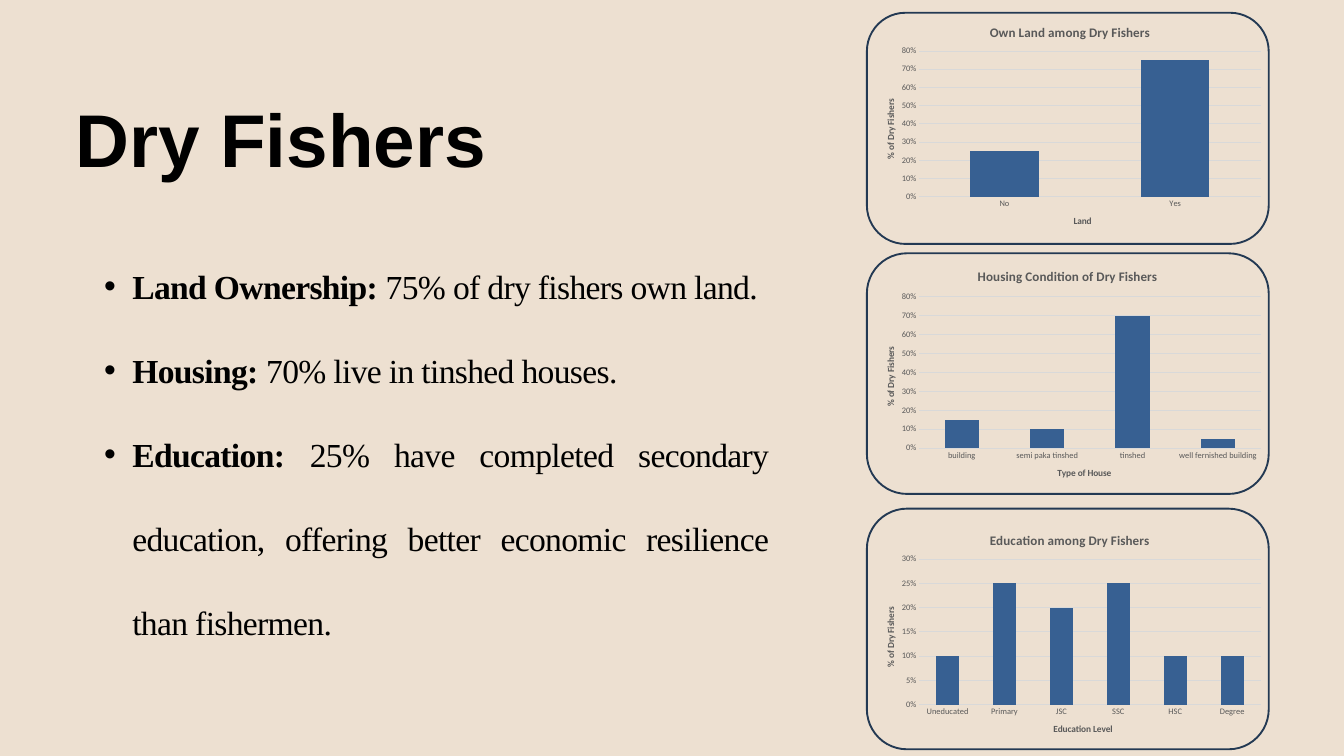
from dataclasses import dataclass

import pptx
import pptx.chart.data
import pptx.dml.color
import pptx.enum.chart
import pptx.enum.shapes
import pptx.enum.text
import pptx.oxml
import pptx.oxml.ns
import pptx.util

Pt = pptx.util.Pt
RGBColor = pptx.dml.color.RGBColor
qn = pptx.oxml.ns.qn

BEIGE = RGBColor(0xED, 0xE0, 0xD1)
BLACK = RGBColor(0, 0, 0)
NAVY = RGBColor(0x23, 0x39, 0x53)
BLUE = RGBColor(0x37, 0x60, 0x92)
GREY = RGBColor(0x59, 0x59, 0x59)
PALE = RGBColor(0xD9, 0xD9, 0xD9)

HEADING = {"name": "Arial", "size": Pt(80), "bold": True}
BODY = {"name": "Times New Roman", "size": Pt(36)}
CHART_TITLE = {"name": "Calibri", "size": Pt(14), "bold": True}
AXIS_TITLE = {"name": "Calibri", "size": Pt(10), "bold": True}
TICKS = {"name": "Calibri", "size": Pt(9), "bold": False}

PANEL_LEFT, PANEL_WIDTH = 928.8, 430.56


@dataclass
class Panel:
    """A bar chart in a rounded frame; x positions are fractions of its width."""
    title: str
    title_x: float
    axis_title: str
    axis_title_x: float
    values: dict[str, float]
    top_value: float
    step: float
    chart_top: float
    chart_height: float
    frame_top: float
    frame_height: float


@dataclass
class Bullet:
    label: str
    text: str


PANELS = [
    Panel("Own Land among Dry Fishers", 0.3, "Land", 0.51,
          {"No": 0.25, "Yes": 0.75}, 0.8, 0.1, 10.1, 247.7, 13.7, 247.7),
    Panel("Housing Condition of Dry Fishers", 0.27, "Type of House", 0.47,
          {"building": 0.15, "semi paka tinshed": 0.1, "tinshed": 0.7,
           "well fernished building": 0.05},
          0.8, 0.1, 271.4, 257.8, 271.4, 257.8),
    Panel("Education among Dry Fishers", 0.3, "Education Level", 0.46,
          {"Uneducated": 0.1, "Primary": 0.25, "JSC": 0.2, "SSC": 0.25,
           "HSC": 0.1, "Degree": 0.1},
          0.3, 0.05, 554.4, 247.7, 545, 257.8),
]

BULLETS = [
    Bullet("Land Ownership: ", "75% of dry fishers own land."),
    Bullet("Housing: ", "70% live in tinshed houses."),
    Bullet("Education:", " 25% have completed secondary education, offering "
                         "better economic resilience than fishermen."),
]


def set_font(font, style: dict, color: RGBColor) -> None:
    for name, value in style.items():
        setattr(font, name, value)
    font.color.rgb = color


def add_text_frame(s, left: float, top: float, width: float, height: float):
    """Add a wrapping text box without margins."""
    tf = s.shapes.add_textbox(Pt(left), Pt(top), Pt(width), Pt(height)).text_frame
    tf.word_wrap = True
    for side in ("left", "top", "right", "bottom"):
        setattr(tf, f"margin_{side}", 0)
    return tf


def add_heading(s, text: str) -> None:
    p = add_text_frame(s, 80.6, 87.1, 639.4, 100).paragraphs[0]
    p.line_spacing = Pt(108.2)
    r = p.add_run()
    r.text = text
    set_font(r.font, HEADING, BLACK)


def add_bullets(s, bullets: list[Bullet]) -> None:
    tf = add_text_frame(s, 80.6, 238.3, 743, 440)
    for i, bullet in enumerate(bullets):
        p = tf.add_paragraph() if i else tf.paragraphs[0]
        p.alignment = pptx.enum.text.PP_ALIGN.JUSTIFY
        p.level = 1
        p.line_spacing = Pt(90)
        pPr = p._p.get_or_add_pPr()
        pPr.set("marL", str(Pt(61.2)))
        pPr.set("indent", str(Pt(-30.2)))
        for tag, name, value in (("buFont", "typeface", "Arial"), ("buChar", "char", "•")):
            pPr.append(pptx.oxml.parse_xml(
                f'<a:{tag} {pptx.oxml.ns.nsdecls("a")} {name}="{value}"/>'))
        for text, bold in ((bullet.label, True), (bullet.text, False)):
            r = p.add_run()
            r.text = text
            set_font(r.font, BODY | {"bold": bold}, BLACK)
            r._r.get_or_add_rPr().set("spc", "-70")


def layout_xml(target: str = "", **position: float):
    """Return a manual layout, measured in fractions of the chart."""
    inner = f'<c:layoutTarget val="{target}"/>' if target else ""
    inner += '<c:xMode val="edge"/><c:yMode val="edge"/>'
    inner += "".join(f'<c:{name} val="{value}"/>' for name, value in position.items())
    return pptx.oxml.parse_xml(
        f'<c:layout {pptx.oxml.ns.nsdecls("c")}>'
        f"<c:manualLayout>{inner}</c:manualLayout></c:layout>")


def replace_layout(parent, layout, index: int) -> None:
    for old in parent.findall(qn("c:layout")):
        parent.remove(old)
    parent.insert(index, layout)


def set_title(title, text: str, style: dict, x: float, y: float) -> None:
    p = title.text_frame.paragraphs[0]
    r = p.add_run()
    r.text = text
    set_font(r.font, style, GREY)
    replace_layout(title._element, layout_xml(x=x, y=y), 1)


def add_panel(s, panel: Panel) -> None:
    data = pptx.chart.data.CategoryChartData(number_format="0%")
    data.categories = list(panel.values)
    data.add_series("Series 1", list(panel.values.values()))
    chart = s.shapes.add_chart(
        pptx.enum.chart.XL_CHART_TYPE.COLUMN_STACKED,
        Pt(PANEL_LEFT), Pt(panel.chart_top), Pt(PANEL_WIDTH), Pt(panel.chart_height),
        data).chart
    set_font(chart.font, TICKS, GREY)
    chart.has_legend = False
    chart.has_title = True
    set_title(chart.chart_title, panel.title, CHART_TITLE, panel.title_x, 0.05)

    plot = chart.plots[0]
    plot.gap_width, plot.overlap, plot.vary_by_categories = 150, 100, False
    fill = plot.series[0].format.fill
    fill.solid()
    fill.fore_color.rgb = BLUE
    replace_layout(chart._chartSpace.chart.plotArea,
                   layout_xml("inner", x=0.13, y=0.18, w=0.85, h=0.63), 0)

    cat, val = chart.category_axis, chart.value_axis
    for axis in (cat, val):
        axis.major_tick_mark = pptx.enum.chart.XL_TICK_MARK.NONE
        set_font(axis.tick_labels.font, TICKS, GREY)
    set_title(cat.axis_title, panel.axis_title, AXIS_TITLE, panel.axis_title_x, 0.88)
    set_title(val.axis_title, "% of Dry Fishers", AXIS_TITLE, 0.04, 0.38)
    val.minimum_scale, val.maximum_scale, val.major_unit = 0, panel.top_value, panel.step
    val.tick_labels.number_format = "0%"
    val.tick_labels.number_format_is_linked = False
    val.format.line.fill.background()
    for line in (cat.format.line, val.major_gridlines.format.line):
        line.color.rgb = PALE
        line.width = Pt(0.75)

    sp = s.shapes.add_shape(
        pptx.enum.shapes.MSO_SHAPE.ROUNDED_RECTANGLE,
        Pt(PANEL_LEFT), Pt(panel.frame_top), Pt(PANEL_WIDTH), Pt(panel.frame_height))
    sp.shadow.inherit = False
    sp.fill.background()
    sp.line.color.rgb = NAVY
    sp.line.width = Pt(2)


def main() -> None:
    prs = pptx.Presentation()
    prs.slide_width, prs.slide_height = Pt(1440), Pt(810)
    s = prs.slides.add_slide(prs.slide_layouts[6])
    s.background.fill.solid()
    s.background.fill.fore_color.rgb = BEIGE
    add_heading(s, "Dry Fishers")
    add_bullets(s, BULLETS)
    for panel in PANELS:
        add_panel(s, panel)
    prs.save("out.pptx")


if __name__ == "__main__":
    main()
